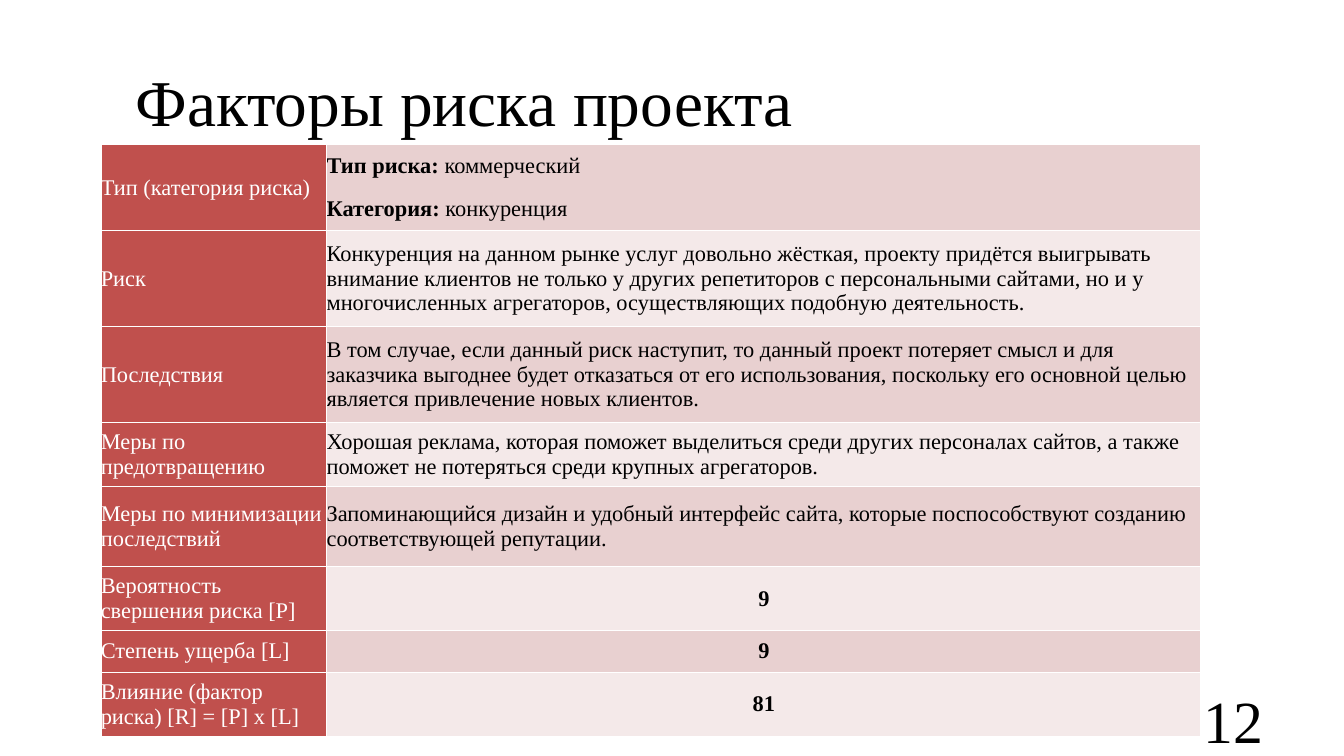
import pptx
import pptx.dml.color
import pptx.enum.text
import pptx.oxml
import pptx.oxml.ns
import pptx.util

Pt = pptx.util.Pt
RGBColor = pptx.dml.color.RGBColor
ALIGN = pptx.enum.text.PP_ALIGN
MIDDLE = pptx.enum.text.MSO_ANCHOR.MIDDLE

FONT = "Times New Roman"
BLACK = RGBColor(0x00, 0x00, 0x00)
WHITE = RGBColor(0xFF, 0xFF, 0xFF)
RED = RGBColor(0xC0, 0x50, 0x4D)
BANDS = (RGBColor(0xE8, 0xD0, 0xD0), RGBColor(0xF4, 0xE9, 0xE9))

COLUMN_WIDTHS = (121, 468.5)
BODY_SIZE = 12

# Row height, label, and description paragraphs made of (text, bold) runs
RISK_ROWS = [
    (46, "Тип (категория риска)",
     [[("Тип риска: ", True), ("коммерческий", False)],
      [("Категория: ", True), ("конкуренция", False)]]),
    (51.5, "Риск",
     [[("Конкуренция на данном рынке услуг довольно жёсткая, проекту придётся "
        "выигрывать внимание клиентов не только у других репетиторов с "
        "персональными сайтами, но и у многочисленных агрегаторов, "
        "осуществляющих подобную деятельность.", False)]]),
    (51.5, "Последствия",
     [[("В том случае, если данный риск наступит, то данный проект потеряет "
        "смысл и для заказчика выгоднее будет отказаться от его использования, "
        "поскольку его основной целью является привлечение новых клиентов.",
        False)]]),
    (34.3, "Меры по предотвращению",
     [[("Хорошая реклама, которая поможет выделиться среди других персоналах "
        "сайтов, а также поможет не потеряться среди крупных агрегаторов.",
        False)]]),
    (42.8, "Меры по минимизации последствий",
     [[("Запоминающийся дизайн и удобный интерфейс сайта, которые "
        "поспособствуют созданию соответствующей репутации.", False)]]),
]
SCORE_ROWS = [
    (34.3, "Вероятность свершения риска [P]", "9"),
    (22.4, "Степень ущерба [L]", "9"),
    (34.3, "Влияние (фактор риска) [R] = [P] x [L]", "81"),
]


def add_run(paragraph, text, size, color=BLACK, bold=False):
    run = paragraph.add_run()
    run.text = text
    run.font.name = FONT
    run.font.size = Pt(size)
    run.font.bold = bold
    run.font.color.rgb = color


def add_line_of_text(slide, text, size, box, align=ALIGN.LEFT):
    frame = slide.shapes.add_textbox(*map(Pt, box)).text_frame
    frame.word_wrap = True
    frame.vertical_anchor = MIDDLE
    frame.paragraphs[0].alignment = align
    add_run(frame.paragraphs[0], text, size)


def set_white_borders(cell):
    properties = cell._tc.get_or_add_tcPr()
    for position, side in enumerate(("lnL", "lnR", "lnT", "lnB")):
        border = pptx.oxml.parse_xml(
            f'<a:{side} {pptx.oxml.ns.nsdecls("a")} w="{Pt(1)}"><a:solidFill>'
            f'<a:srgbClr val="{WHITE}"/></a:solidFill></a:{side}>')
        properties.insert(position, border)


def fill_cell(cell, paragraphs, fill, color=BLACK, align=ALIGN.LEFT):
    cell.margin_left = cell.margin_right = cell.margin_top = cell.margin_bottom = 0
    cell.vertical_anchor = MIDDLE
    cell.fill.solid()
    cell.fill.fore_color.rgb = fill
    set_white_borders(cell)
    frame = cell.text_frame
    for index, runs in enumerate(paragraphs):
        paragraph = frame.add_paragraph() if index else frame.paragraphs[0]
        paragraph.alignment = align
        paragraph.space_after = Pt(10)
        for text, bold in runs:
            add_run(paragraph, text, BODY_SIZE, color, bold)


def add_risk_table(slide, left, top):
    rows = [(*row, ALIGN.LEFT) for row in RISK_ROWS]
    rows += [(height, label, [[(score, True)]], ALIGN.CENTER)
             for height, label, score in SCORE_ROWS]
    total_height = sum(row[0] for row in rows)
    table = slide.shapes.add_table(
        len(rows), len(COLUMN_WIDTHS), Pt(left), Pt(top),
        Pt(sum(COLUMN_WIDTHS)), Pt(total_height)).table
    for column, width in zip(table.columns, COLUMN_WIDTHS):
        column.width = Pt(width)
    for index, (height, label, description, align) in enumerate(rows):
        table.rows[index].height = Pt(height)
        fill_cell(table.cell(index, 0), [[(label, False)]], RED, WHITE)
        fill_cell(table.cell(index, 1), description, BANDS[index % 2], align=align)


def main():
    presentation = pptx.Presentation()
    presentation.slide_width = Pt(720)
    presentation.slide_height = Pt(405)
    slide = presentation.slides.add_slide(presentation.slide_layouts[6])
    add_line_of_text(slide, "Факторы риска проекта", 35, (65.5, 29, 642, 49))
    add_line_of_text(slide, "12", 32, (516, 375, 168, 21.5), ALIGN.RIGHT)
    add_risk_table(slide, 54, 77.5)
    presentation.save("out.pptx")


if __name__ == "__main__":
    main()
